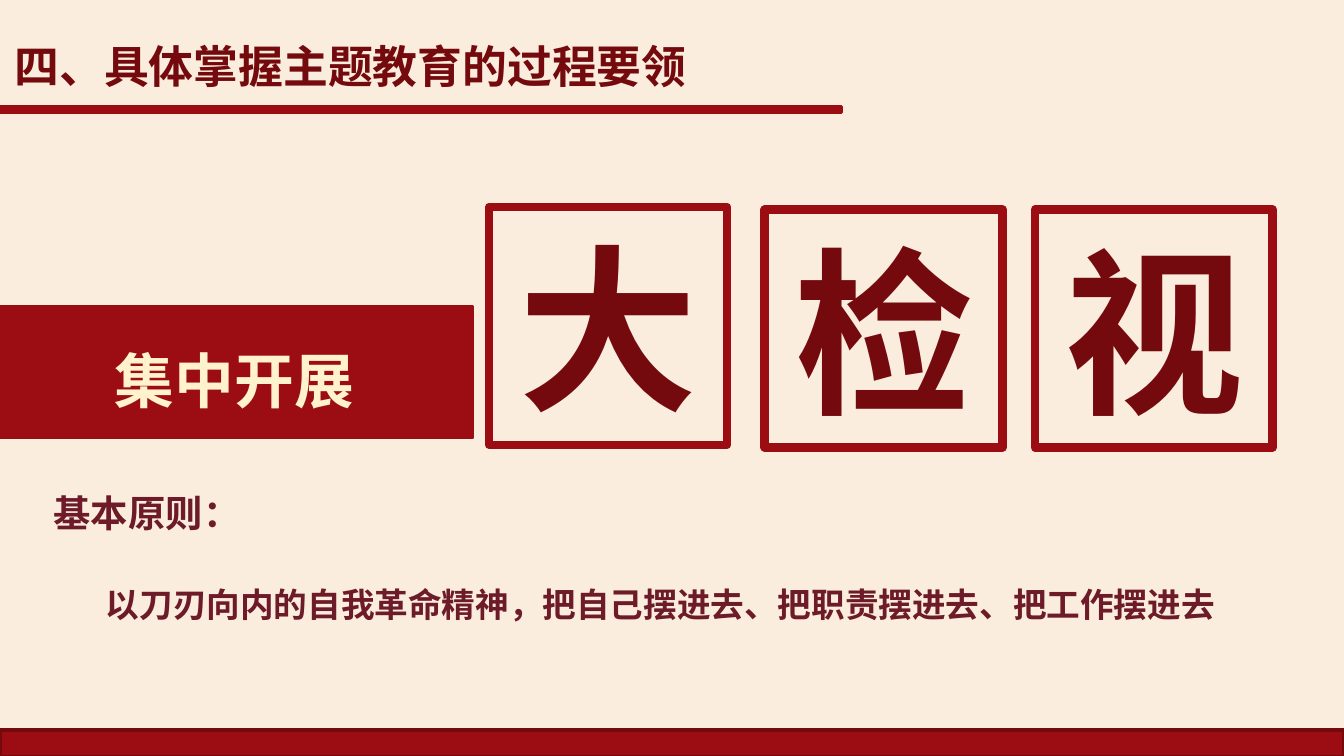
from lxml import etree
from pptx import Presentation
from pptx.dml.color import RGBColor
from pptx.enum.shapes import MSO_SHAPE
from pptx.enum.text import MSO_ANCHOR, PP_ALIGN
from pptx.oxml.ns import qn
from pptx.util import Inches, Pt

RECT = MSO_SHAPE.RECTANGLE
TOP, MIDDLE = MSO_ANCHOR.TOP, MSO_ANCHOR.MIDDLE
LEFT, CENTER = PP_ALIGN.LEFT, PP_ALIGN.CENTER
RED, DARK, PLUM = "9B0D13", "740A0E", "6D1B28"
CREAM, GOLD, EDGE = "FAEDDD", "FFF2CC", "730A0E"
SANS = "Noto Sans CJK SC"


def paint(target, color):
    """Give a fill one solid colour."""
    target.solid()
    target.fore_color.rgb = RGBColor.from_string(color)


def add_rect(slide, box, fill=None, line=RED, width=1.5):
    """Add a rectangle with an optional fill."""
    shape = slide.shapes.add_shape(RECT, *map(Inches, box))
    shape.shadow.inherit = False
    if fill:
        paint(shape.fill, fill)
    else:
        shape.fill.background()
    paint(shape.line.fill, line)
    shape.line.width = Pt(width)
    return shape


def write(para, text, size, color=DARK, font=SANS, align=LEFT,
          spacing=None, before=None, indent=None):
    """Write one bold run and format its paragraph."""
    if indent:
        para._p.get_or_add_pPr().set("indent", str(Inches(indent)))
    para.alignment = align
    if spacing:
        para.line_spacing = spacing
    if before:
        para.space_before = Pt(before)
    run = para.add_run()
    run.text = text
    run.font.size = Pt(size)
    run.font.bold = True
    run.font.name = font
    paint(run.font.fill, color)
    east = etree.SubElement(run._r.get_or_add_rPr(), qn("a:ea"))
    east.set("typeface", SANS)


def add_text(slide, box, anchor=TOP):
    """Add a wrapping text box and return its text frame."""
    frame = slide.shapes.add_textbox(*map(Inches, box)).text_frame
    frame.word_wrap = True
    frame.vertical_anchor = anchor
    return frame


def add_tile(slide, left, top, char):
    """Add an outlined square holding one large character."""
    tile = add_rect(slide, (left, top, 1.77, 1.77), width=4.5)
    tile.text_frame.vertical_anchor = MIDDLE
    write(tile.text_frame.paragraphs[0], char, 96, font="Arial", align=CENTER)


def main():
    """Build and save the slide."""
    deck = Presentation()
    deck.slide_width, deck.slide_height = Inches(10), Inches(10 * 9 / 16)
    slide = deck.slides.add_slide(deck.slide_layouts[6])
    paint(slide.background.fill, CREAM)

    add_rect(slide, (0, 5.43, 10, 0.2), RED, EDGE, 2)
    add_rect(slide, (0, 0.79, 6.26, 0.05), RED)
    add_rect(slide, (-0.03, 2.28, 3.55, 0.98), RED)
    label = add_text(slide, (-0.03, 2.4, 3.55, 0.75))
    write(label.paragraphs[0], "集中开展", 32, GOLD, "Arial", CENTER, 1.2)

    body = add_text(slide, (0.3, 3.6, 9.7, 1.11))
    write(body.paragraphs[0], "基本原则：", 20, PLUM)
    write(body.add_paragraph(), "以刀刃向内的自我革命精神，把自己摆进去、把职责摆进去、把工作摆进去",
          18, PLUM, before=26, indent=0.39)

    for left, top, char in ((5.69, 1.56, "检"), (7.7, 1.56, "视"), (3.64, 1.54, "大")):
        add_tile(slide, left, top, char)

    title = add_text(slide, (0.01, 0.13, 5.58, 0.63), MIDDLE)
    write(title.paragraphs[0], "四、具体掌握主题教育的过程要领", 24, spacing=1.2)
    deck.save("out.pptx")


if __name__ == "__main__":
    main()
